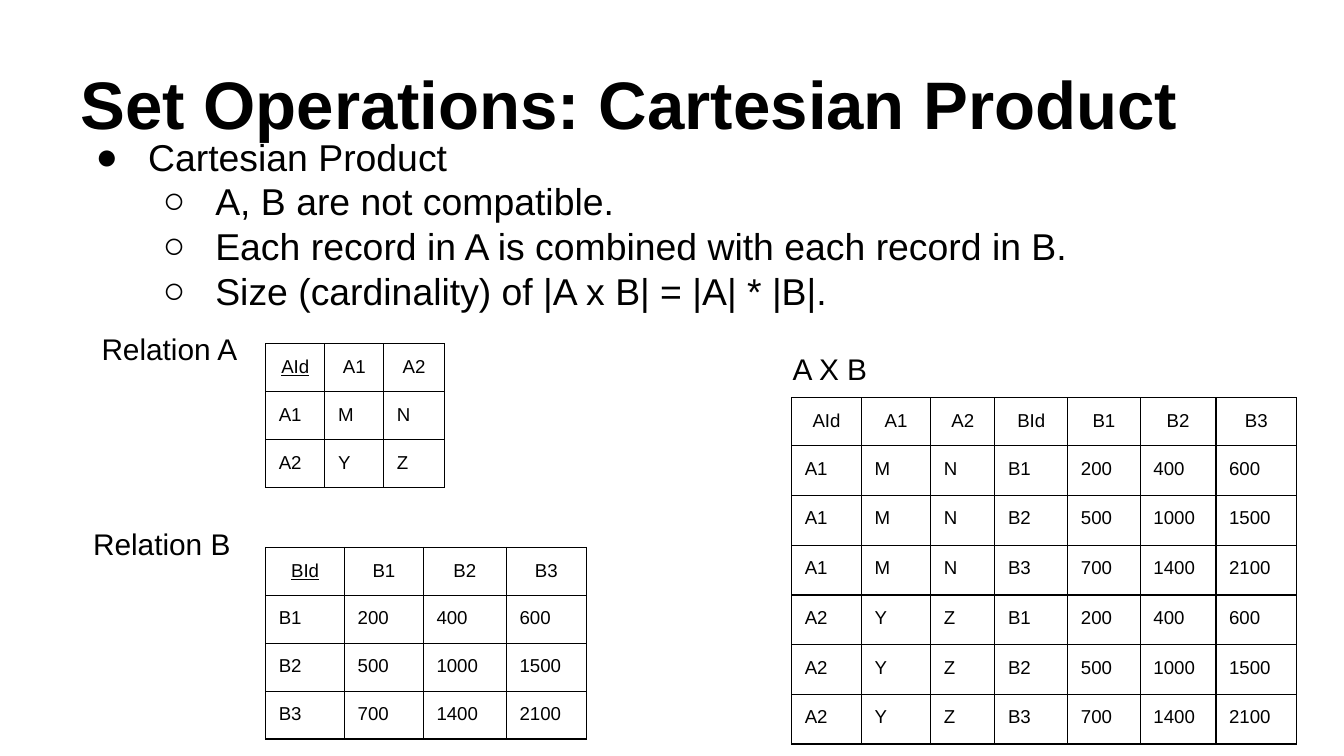
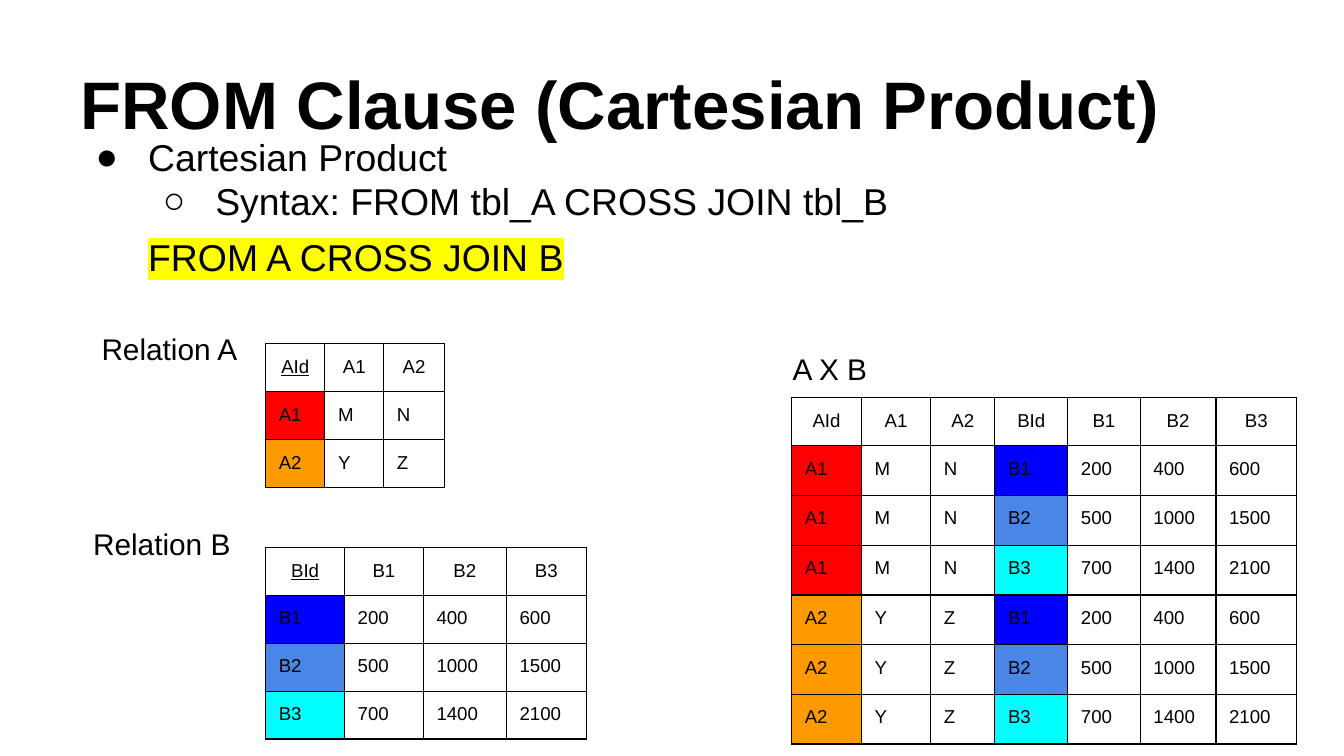
import itertools

import pptx
import pptx.dml.color
import pptx.enum.text
import pptx.oxml
import pptx.oxml.ns
import pptx.util

Cm, Pt = pptx.util.Cm, pptx.util.Pt
RGB = pptx.dml.color.RGBColor
ALIGN = pptx.enum.text.PP_ALIGN
ANCHOR = pptx.enum.text.MSO_ANCHOR
qn = pptx.oxml.ns.qn
NS = pptx.oxml.ns.nsdecls("a")

BLACK = RGB(0x00, 0x00, 0x00)
YELLOW = RGB(0xFF, 0xFF, 0x00)
HUES = {
    "A1": RGB(0xFF, 0x00, 0x00),
    "A2": RGB(0xFF, 0x99, 0x00),
    "B1": RGB(0x00, 0x00, 0xFF),
    "B2": RGB(0x4A, 0x86, 0xE8),
    "B3": RGB(0x00, 0xFF, 0xFF),
}
FONT = "Arial"
PAD = Cm(0.25)
CELL_PAD = Cm(0.24)
FRAME = Cm(8.33)

HEAD_A = ["AId", "A1", "A2"]
HEAD_B = ["BId", "B1", "B2", "B3"]
ROWS_A = [["A1", "M", "N"], ["A2", "Y", "Z"]]
ROWS_B = [
    ["B1", "200", "400", "600"],
    ["B2", "500", "1000", "1500"],
    ["B3", "700", "1400", "2100"],
]
ROWS_AB = [a + b for a, b in itertools.product(ROWS_A, ROWS_B)]

TITLE_BOX = (1.27, 0.56, 22.86, 2.39)
BODY_BOX = (1.28, 2.28, 23.19, 4.42)
TAG_SIZE = (3.38, 1.55)
BULLETS = ["●", "○"]


def style(par, size, bold=False):
    for run in par.runs:
        font = run.font
        font.name, font.size, font.bold = FONT, Pt(size), bold
        font.color.rgb = BLACK


def add_box(slide, box, anchor=ANCHOR.TOP):
    frame = slide.shapes.add_textbox(*map(Cm, box)).text_frame
    frame.word_wrap = True
    frame.vertical_anchor = anchor
    frame.margin_left = frame.margin_right = PAD
    frame.margin_top = frame.margin_bottom = PAD
    return frame


def add_line(slide, box, text, size, bold=False, anchor=ANCHOR.TOP):
    frame = add_box(slide, box, anchor)
    frame.text = text
    style(frame.paragraphs[0], size, bold)


def indent(par, level, mark=None):
    par.level = level
    ppr = par._p.get_or_add_pPr()
    ppr.set("marL", str(Cm(1.27 * (level + 1))))
    ppr.set("indent", str(Cm(-0.99) if mark else 0))
    if not mark:
        ppr.append(pptx.oxml.parse_xml(f"<a:buNone {NS}/>"))
        return
    for xml in (
        f'<a:buClr {NS}><a:srgbClr val="{BLACK}"/></a:buClr>',
        f'<a:buFont {NS} typeface="{FONT}"/>',
        f'<a:buChar {NS} char="{mark}"/>',
    ):
        ppr.append(pptx.oxml.parse_xml(xml))


def mark_text(par):
    fill = par.runs[0].font._element.find(qn("a:solidFill"))
    fill.addnext(pptx.oxml.parse_xml(
        f'<a:highlight {NS}><a:srgbClr val="{YELLOW}"/></a:highlight>'))


def add_body(slide, box, lead, points, code=None):
    frame = add_box(slide, box)
    frame.text = "\n".join([lead] + points)
    for i, par in enumerate(frame.paragraphs):
        level = min(i, 1)
        indent(par, level, BULLETS[level])
        style(par, 20)
    if code:
        par = frame.add_paragraph()
        par.text = code
        indent(par, 0)
        par.space_before = Pt(6)
        style(par, 20)
        mark_text(par)


def add_edges(cell):
    props = cell._tc.get_or_add_tcPr()
    for side in "LRTB":
        props.append(pptx.oxml.parse_xml(
            f'<a:ln{side} {NS} w="{Pt(0.75)}"><a:solidFill>'
            f'<a:srgbClr val="{BLACK}"/></a:solidFill></a:ln{side}>'))


def fill_cell(cell, text, hue=None):
    cell.text = text
    cell.margin_left = cell.margin_right = PAD
    cell.margin_top = cell.margin_bottom = CELL_PAD
    style(cell.text_frame.paragraphs[0], 10)
    add_edges(cell)
    if hue is None:
        cell.fill.background()
    else:
        cell.fill.solid()
        cell.fill.fore_color.rgb = hue


def add_grid(slide, spot, widths, heights, head, rows, tint, key=False):
    left, top = spot
    data = [head] + rows
    shape = slide.shapes.add_table(
        len(data), len(head), Cm(left), Cm(top), FRAME, FRAME)
    table = shape.table
    table.first_row = table.horz_banding = False
    for col, width in zip(table.columns, widths):
        col.width = Cm(width)
    for row, height in zip(table.rows, heights):
        row.height = Cm(height)
    shape.width = shape.height = FRAME
    for r, texts in enumerate(data):
        for c, text in enumerate(texts):
            hued = tint and r > 0 and head[c] in ("AId", "BId")
            cell = table.cell(r, c)
            fill_cell(cell, text, HUES[text] if hued else None)
            if r == 0:
                par = cell.text_frame.paragraphs[0]
                par.alignment = ALIGN.CENTER
                par.runs[0].font.underline = key and c == 0


def add_tables(slide, tint):
    add_grid(slide, (5.02, 6.5), [1.12, 1.11, 1.15], [0.81] * 3,
             HEAD_A, ROWS_A, tint, key=True)
    add_grid(slide, (5.02, 10.35), [1.49, 1.49, 1.57, 1.51], [0.81] * 4,
             HEAD_B, ROWS_B, tint, key=True)
    add_grid(slide, (14.96, 7.52),
             [1.32, 1.31, 1.21, 1.38, 1.37, 1.43, 1.53],
             [0.53] + [0.94] * 6, HEAD_A + HEAD_B, ROWS_AB, tint)
    for text, spot in (
        ("Relation A", (1.67, 6.01)),
        ("Relation B", (1.51, 9.68)),
        ("A X B", (14.73, 6.38)),
    ):
        add_line(slide, spot + TAG_SIZE, text, 16)


def add_slide(deck, title, points, code=None, tint=False):
    slide = deck.slides.add_slide(deck.slide_layouts[6])
    add_line(slide, TITLE_BOX, title, 36, True, ANCHOR.BOTTOM)
    add_body(slide, BODY_BOX, "Cartesian Product", points, code)
    add_tables(slide, tint)


def main():
    deck = pptx.Presentation()
    deck.slide_width, deck.slide_height = Cm(25.4), Cm(14.29)
    add_slide(deck, "Set Operations: Cartesian Product", [
        "A, B are not compatible.",
        "Each record in A is combined with each record in B.",
        "Size (cardinality) of |A x B| = |A| * |B|.",
    ])
    add_slide(deck, "FROM Clause (Cartesian Product)",
              ["Syntax: FROM tbl_A CROSS JOIN tbl_B"],
              code="FROM A CROSS JOIN B", tint=True)
    deck.save("out.pptx")


if __name__ == "__main__":
    main()
